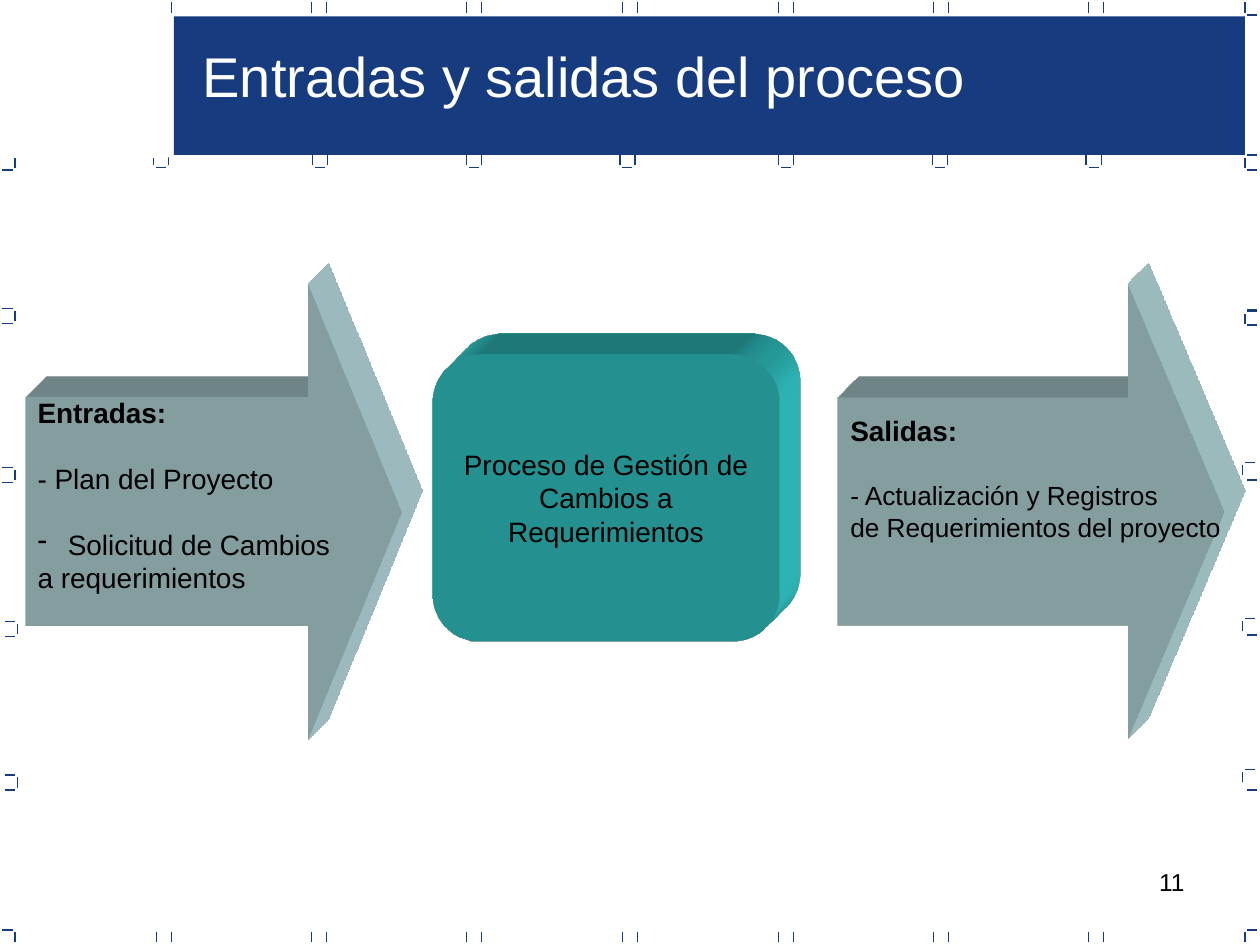
from lxml import etree
from pptx import Presentation
from pptx.dml.color import RGBColor
from pptx.enum.shapes import MSO_CONNECTOR, MSO_SHAPE
from pptx.enum.text import MSO_ANCHOR, PP_ALIGN
from pptx.oxml import parse_xml
from pptx.oxml.ns import qn
from pptx.util import Emu, Pt

PX = 9144  # 100 px to the inch
STRAIGHT = MSO_CONNECTOR.STRAIGHT
RECTANGLE = MSO_SHAPE.RECTANGLE
ROUNDED = MSO_SHAPE.ROUNDED_RECTANGLE
ARROW = MSO_SHAPE.RIGHT_ARROW
LEFT, CENTER, RIGHT = PP_ALIGN.LEFT, PP_ALIGN.CENTER, PP_ALIGN.RIGHT
MIDDLE = MSO_ANCHOR.MIDDLE

NAVY, WHITE, BLACK = "163B7F", "FFFFFF", "000000"
PALE, TEAL = "BBE0E3", "33CCCC"
DRAWING = "http://schemas.openxmlformats.org/drawingml/2006/main"


def px(length):
    return Emu(length * PX)


def color(value):
    return RGBColor.from_string(value)


class SlideBuilder:
    font = "Arial"

    def __init__(self, slide):
        self.slide = slide

    def line(self, x1, y1, x2, y2):
        connector = self.slide.shapes.add_connector(
            STRAIGHT, px(x1), px(y1), px(x2), px(y2))
        connector.line.color.rgb = color(NAVY)
        connector.line.width = Pt(0.75)
        etree.SubElement(connector._element.spPr, qn("a:effectLst"))

    def vertical_tick(self, x, y):
        self.line(x, y + 8, x, y)

    def horizontal_tick(self, x, y):
        self.line(x, y, x + 8, y)

    def shape(self, kind, box, fill, outline=None, adjustments=()):
        shape = self.slide.shapes.add_shape(kind, *map(px, box))
        shape.shadow.inherit = False
        shape.fill.solid()
        shape.fill.fore_color.rgb = color(fill)
        if outline:
            shape.line.color.rgb = color(outline)
            shape.line.width = Pt(2)
        else:
            shape.line.fill.background()
        for index, value in enumerate(adjustments):
            shape.adjustments[index] = value
        return shape

    def block(self, kind, box, fill, adjustments):
        """Add a shape extruded towards the top right."""
        shape = self.shape(kind, box, fill, adjustments=adjustments)
        properties = shape._element.spPr
        properties.append(parse_xml(
            f'<a:scene3d xmlns:a="{DRAWING}">'
            '<a:camera prst="legacyObliqueTopRight"/>'
            '<a:lightRig rig="legacyFlat3" dir="b"/></a:scene3d>'))
        properties.append(parse_xml(
            f'<a:sp3d xmlns:a="{DRAWING}" extrusionH="430200" '
            'prstMaterial="legacyMatte"><a:extrusionClr>'
            f'<a:srgbClr val="{fill}"/></a:extrusionClr></a:sp3d>'))
        return shape

    def text_box(self, box, text, size, text_color, align=LEFT):
        shape = self.slide.shapes.add_textbox(*map(px, box))
        shape.text_frame.word_wrap = True
        self.paragraph(shape.text_frame, text, size, text_color, align)

    def paragraph(self, frame, text, size, text_color=BLACK, align=LEFT,
                  bold=False, before=0, bullet=None):
        paragraph = frame.paragraphs[0]
        if paragraph.runs:
            paragraph = frame.add_paragraph()
        paragraph.alignment = align
        paragraph.space_before = Pt(before)
        if bullet:
            properties = paragraph._p.get_or_add_pPr()
            properties.set("marL", str(px(24)))
            properties.set("indent", str(-px(24)))
            mark = etree.SubElement(properties, qn("a:buChar"))
            mark.set("char", bullet)
        run = paragraph.add_run()
        run.text = text
        run.font.name = self.font
        run.font.size = Pt(size)
        run.font.bold = bold
        run.font.color.rgb = color(text_color)

    def arrow(self, box, paragraphs, bottom):
        frame = self.block(ARROW, box, PALE, (0.5, 0.25)).text_frame
        frame.word_wrap = False
        frame.vertical_anchor = MIDDLE
        frame.margin_bottom = px(bottom)
        for text, size, options in paragraphs:
            self.paragraph(frame, text, size, **options)

    def border_ticks(self):
        for right in (136, 259, 382, 506, 630, 753, 876):
            for x in (right - 12, right):
                if x > 130:
                    self.vertical_tick(x, 2)
                self.vertical_tick(x, 740)
        for right in (134, 260, 382, 504, 630, 752, 874):
            self.vertical_tick(right - 12, 123)
            self.vertical_tick(right, 123)
            self.horizontal_tick(right - 10, 133)
        for y in (2, 125, 740):
            self.vertical_tick(988, y)
        for y in (12, 123, 135, 246, 258, 381, 504, 627, 738):
            self.horizontal_tick(990, y)
        for x, y in ((988, 249), (986, 369), (986, 493), (986, 613)):
            self.vertical_tick(x, y)
            self.horizontal_tick(x + 2, y - 2)
        for x, y in ((12, 125), (12, 247), (12, 373), (14, 495), (14, 617),
                     (12, 740)):
            self.vertical_tick(x, y)
            self.horizontal_tick(x - 10, y - 2)
            if y < 740:
                self.horizontal_tick(x - 10, y + 10)


def main():
    presentation = Presentation()
    presentation.slide_width, presentation.slide_height = px(1000), px(750)
    builder = SlideBuilder(
        presentation.slides.add_slide(presentation.slide_layouts[6]))

    builder.text_box((717, 683, 233, 52), "11", 14, BLACK, RIGHT)
    builder.border_ticks()
    builder.shape(RECTANGLE, (138, 13, 850, 110), NAVY)
    builder.shape(RECTANGLE, (0, -1, 133, 125), WHITE, outline=WHITE)
    builder.text_box((151, 28, 680, 63), "Entradas y salidas del proceso",
                     32, WHITE)

    heading = {"bold": True}
    spaced = {"before": 18.4}
    builder.arrow((20, 225, 299, 362), (
        ("Entradas:", 16, heading),
        ("- Plan del Proyecto", 16, spaced),
        ("Solicitud de Cambios", 16, {**spaced, "bullet": "-"}),
        ("a requerimientos", 16, {}),
    ), bottom=31)

    process = builder.block(ROUNDED, (343, 281, 276, 228), TEAL, (0.167,))
    process.text_frame.word_wrap = True
    process.text_frame.vertical_anchor = MIDDLE
    builder.paragraph(process.text_frame,
                      "Proceso de Gestión de Cambios a Requerimientos",
                      16, align=CENTER)

    builder.arrow((665, 225, 307, 362), (
        ("Salidas:", 16, heading),
        ("- Actualización y Registros", 15, spaced),
        ("de Requerimientos del proyecto", 15, {}),
    ), bottom=58)

    presentation.save("out.pptx")


if __name__ == "__main__":
    main()
